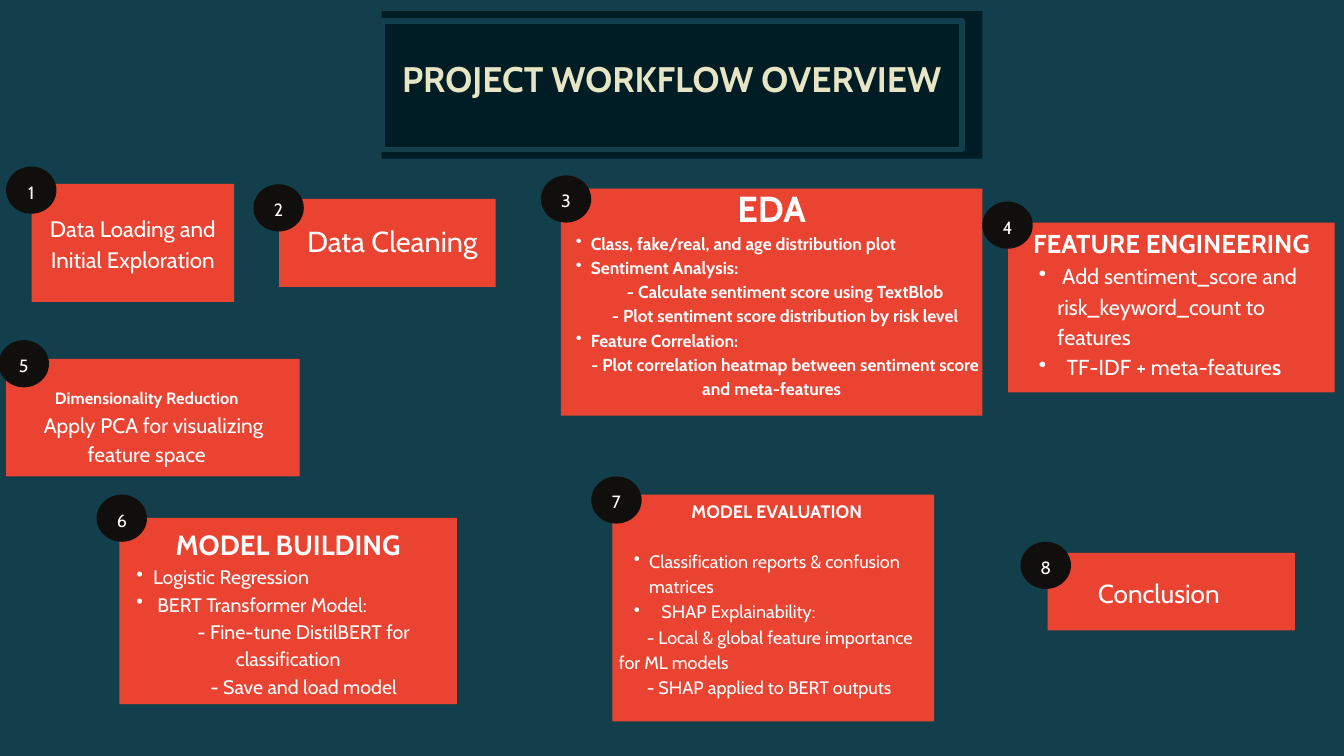
from dataclasses import dataclass

from lxml.etree import SubElement
from pptx import Presentation
from pptx.dml.color import RGBColor
from pptx.enum.shapes import MSO_SHAPE as Shape
from pptx.enum.text import MSO_ANCHOR as Anchor, PP_ALIGN as Align
from pptx.oxml.ns import qn
from pptx.util import Pt

FONT = "Cabin"
TEAL, NAVY, CREAM = "123F4B", "001D25", "E7E5C3"
RED, BLACK, WHITE = "EA4331", "100F0D", "FFFFFF"
BADGE_WIDTH, BADGE_HEIGHT = 54, 50.5


@dataclass
class Line:
    text: str
    size: float
    leading: float
    bold: bool = False
    align: Align = Align.CENTER
    left: float = 0
    first: float = 0
    bullet: bool = False
    after: float = 0
    bold_tail: str = ""


def bullet(text, size, leading, hang, gap=0, **options):
    return Line(text, size, leading, align=Align.LEFT, left=2 * hang + gap,
                first=-hang - gap, bullet=True, **options)


def color(value):
    return RGBColor.from_string(value)


def points(*lengths):
    return [Pt(length) for length in lengths]


def add_block(slide, kind, box, fill=None, outline=None):
    shape = slide.shapes.add_shape(kind, *points(*box))
    shape.shadow.inherit = False
    if fill:
        shape.fill.solid()
        shape.fill.fore_color.rgb = color(fill)
    else:
        shape.fill.background()
    if outline:
        shape.line.color.rgb = color(outline)
        shape.line.width = Pt(6)
    else:
        shape.line.fill.background()
    return shape


def set_margins(frame, margin):
    frame.margin_left = frame.margin_right = Pt(margin)
    frame.margin_top = frame.margin_bottom = Pt(margin)


def write_line(paragraph, line, text_color=WHITE):
    properties = paragraph._p.get_or_add_pPr()
    properties.set("marL", str(Pt(line.left)))
    properties.set("indent", str(Pt(line.first)))
    if line.bullet:
        SubElement(properties, qn("a:buChar")).set("char", "•")
    paragraph.alignment = line.align
    paragraph.line_spacing = Pt(line.leading)
    paragraph.space_before = Pt(0)
    paragraph.space_after = Pt(line.after)
    font = paragraph.font
    font.name = FONT
    font.size = Pt(line.size)
    font.bold = line.bold
    font.color.rgb = color(text_color)
    paragraph.add_run().text = line.text
    if line.bold_tail:
        tail = paragraph.add_run()
        tail.text = line.bold_tail
        tail.font.bold = True


def add_title(slide):
    add_block(slide, Shape.RECTANGLE, (409, 12, 643.5, 158), NAVY)
    add_block(slide, Shape.RECTANGLE, (409, 22.5, 621.5, 137.5), outline=TEAL)
    title = slide.shapes.title
    title.element.getparent().append(title.element)
    title.left, title.top, title.width, title.height = points(409, 0, 621.5, 160)
    frame = title.text_frame
    frame.word_wrap = True
    frame.vertical_anchor = Anchor.MIDDLE
    set_margins(frame, 4)
    write_line(frame.paragraphs[0],
               Line("PROJECT WORKFLOW OVERVIEW", 38, 53.2, True), CREAM)


def add_text(slide, box, lines):
    frame = slide.shapes.add_textbox(*points(*box)).text_frame
    frame.word_wrap = True
    set_margins(frame, 0)
    for index, line in enumerate(lines):
        paragraph = frame.add_paragraph() if index else frame.paragraphs[0]
        write_line(paragraph, line)


def add_badge(slide, number, left, top):
    badge = add_block(slide, Shape.OVAL, (left, top, BADGE_WIDTH, BADGE_HEIGHT), BLACK)
    frame = badge.text_frame
    frame.vertical_anchor = Anchor.MIDDLE
    set_margins(frame, 0)
    write_line(frame.paragraphs[0], Line(str(number), 19, 26.6))


def eda_lines():
    def point(text):
        return bullet(text, 18.6, 26, 16, bold=True)

    def detail(text):
        return Line(text, 18.6, 26, True, first=29)

    return [
        Line("EDA", 38.7, 54.2, True),
        point("Class, fake/real, and age distribution plot"),
        point("Sentiment Analysis:"),
        detail("- Calculate sentiment score using TextBlob"),
        detail("- Plot sentiment score distribution by risk level"),
        point("Feature Correlation:"),
        detail("- Plot correlation heatmap between sentiment score and meta-features"),
    ]


def main():
    presentation = Presentation()
    presentation.slide_width, presentation.slide_height = points(1440, 810)
    slide = presentation.slides.add_slide(presentation.slide_layouts[5])
    slide.background.fill.solid()
    slide.background.fill.fore_color.rgb = color(TEAL)
    add_title(slide)

    steps = [
        ((34, 197, 217, 126.5), (6.5, 178.5), (26, 225.5, 232.5, 65.5),
         [Line("Data Loading and Initial Exploration", 24, 33.5)]),
        ((299, 213, 232, 94.5), (271.5, 197.5), (321, 233.5, 198.5, 42),
         [Line("Data Cleaning", 31, 43.4)]),
        ((601, 202, 451.5, 243.5), (579.5, 188), (601, 191.5, 451.5, 258),
         eda_lines()),
        ((1080, 238.5, 350, 182), (1052.5, 216), (1093.5, 238.5, 323.5, 165.5),
         [Line("FEATURE ENGINEERING", 27.7, 38.8, True),
          bullet(" Add sentiment_score and risk_keyword_count to features",
                 23.2, 32.5, 19.7),
          bullet("TF-IDF + meta-feature", 23.2, 32.5, 19.7, 10, bold_tail="s")]),
        ((6.5, 384.5, 314.5, 126), (-1.5, 364.5), (6.5, 412.5, 301.5, 85.5),
         [Line("Dimensionality Reduction", 17.6, 24.7, True),
          Line("Apply PCA for visualizing feature space", 22.5, 31.5, first=15)]),
        ((128, 555, 361.5, 199.5), (103.5, 530), (128, 559.5, 361.5, 187),
         [Line("MODEL BUILDING", 29.8, 41.7, True),
          bullet("Logistic Regression", 21, 29.4, 18),
          bullet("BERT Transformer Model:", 21, 29.4, 18, 4.5),
          Line("- Fine-tune DistilBERT for classification", 21, 29.4, first=33),
          Line("- Save and load model", 21, 29.4, first=33)]),
        ((656, 530, 345, 243), (633.5, 510.5), (663, 532, 338.5, 208),
         [Line("MODEL EVALUATION", 19.3, 27, True, after=27),
          bullet("Classification reports & confusion matrices", 19.3, 27, 16.3),
          bullet("SHAP Explainability:", 19.3, 27, 16.3, 13),
          Line("- Local & global feature importance for ML models", 19.3, 27,
               align=Align.LEFT, first=30),
          Line("- SHAP applied to BERT outputs", 19.3, 27,
               align=Align.LEFT, first=30)]),
        ((1122.5, 592.5, 265, 83), (1093.5, 580.5), (1155, 613.5, 173, 38),
         [Line("Conclusion", 28, 39.2)]),
    ]
    for number, (card, badge, text_box, lines) in enumerate(steps, 1):
        add_block(slide, Shape.RECTANGLE, card, RED)
        add_text(slide, text_box, lines)
        add_badge(slide, number, *badge)

    presentation.save("out.pptx")


if __name__ == "__main__":
    main()
